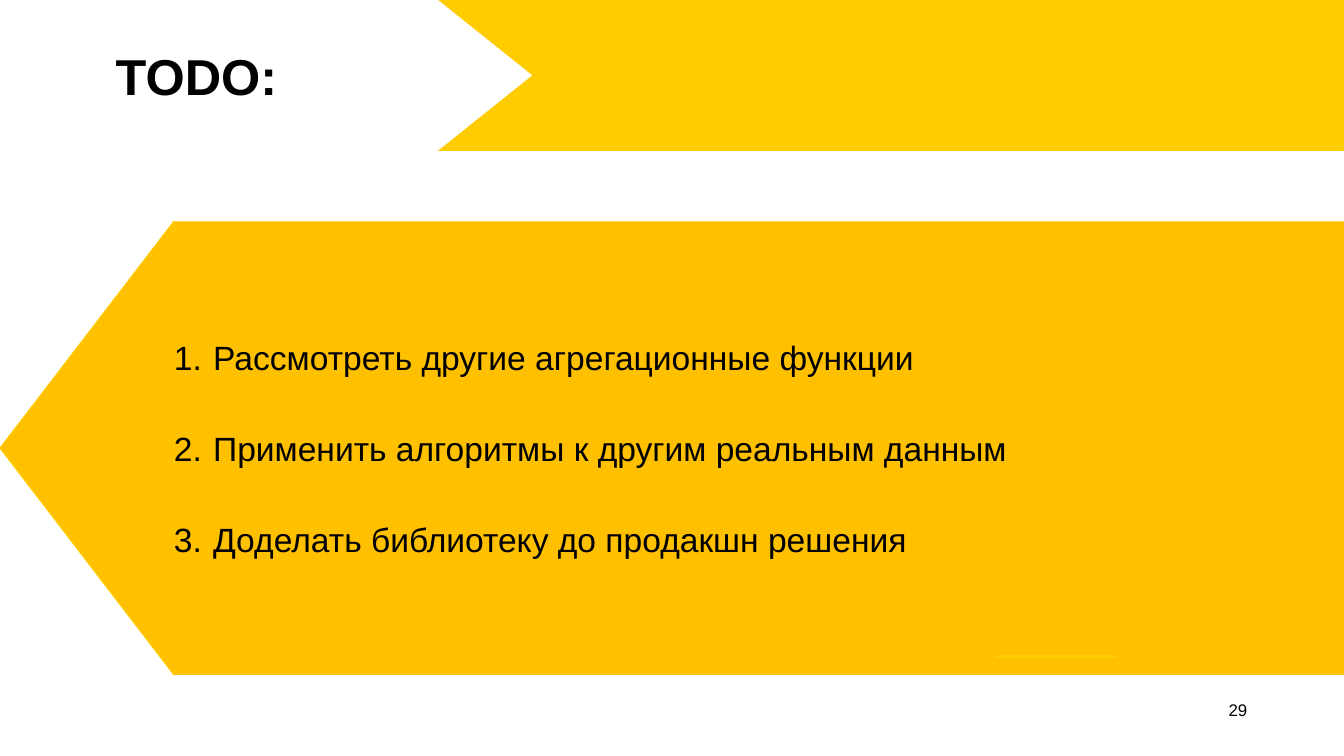
from dataclasses import dataclass

from lxml.etree import SubElement
from pptx import Presentation
from pptx.dml.color import RGBColor
from pptx.enum.shapes import MSO_SHAPE
from pptx.enum.text import MSO_ANCHOR, MSO_AUTO_SIZE, PP_ALIGN
from pptx.oxml.ns import qn
from pptx.util import Pt

TITLE = "TODO:"
TASKS = [
    "Рассмотреть другие агрегационные функции",
    "Применить алгоритмы к другим реальным данным",
    "Доделать библиотеку до продакшн решения",
]
PAGE_NUMBER = "29"


@dataclass(frozen=True)
class Theme:
    font: str = "Arial"
    text: str = "000000"
    paper: str = "FFFFFF"
    yellow: str = "FFCC00"
    amber: str = "FFC000"
    title_size: int = 72
    body_size: int = 48
    number_size: int = 24
    line_width: float = 1.5


THEME = Theme()
WIDTH, HEIGHT = 1919.5, 1080
HEADER_HEIGHT = 215.3
NOTCH_LEFT, NOTCH_DEPTH = 624.2, 134.6
PANEL_LEFT, PANEL_TOP, PANEL_HEIGHT = 248.4, 316.1, 648
TASK_GAP = 72
TASK_INDENT = 56


def place(shape, left, top, width, height):
    shape.left, shape.top = Pt(left), Pt(top)
    shape.width, shape.height = Pt(width), Pt(height)


def add_block(page, kind, bounds, fill, line, rotation=0):
    """Add a filled shape; bounds are those seen after a quarter turn."""
    left, top, width, height = bounds
    if rotation:
        left, top = left + (width - height) / 2, top + (height - width) / 2
        width, height = height, width
    block = page.shapes.add_shape(kind, Pt(left), Pt(top), Pt(width), Pt(height))
    block.rotation = rotation
    block.shadow.inherit = False
    block.fill.solid()
    block.fill.fore_color.rgb = RGBColor.from_string(fill)
    block.line.color.rgb = RGBColor.from_string(line)
    block.line.width = Pt(THEME.line_width)


def prepare_frame(shape, left=0, top=0):
    frame = shape.text_frame
    frame.word_wrap = True
    frame.auto_size = MSO_AUTO_SIZE.NONE
    frame.vertical_anchor = MSO_ANCHOR.MIDDLE
    frame.margin_left, frame.margin_top = Pt(left), Pt(top)
    frame.margin_right = frame.margin_bottom = 0
    return frame


def style(para, size, align, bold=False):
    para.alignment = align
    para.font.name = THEME.font
    para.font.size = Pt(size)
    para.font.bold = bold
    para.font.color.rgb = RGBColor.from_string(THEME.text)


def bring_to_front(shape):
    shape.element.getparent().append(shape.element)


def add_header(page):
    add_block(page, MSO_SHAPE.RECTANGLE, (0, 0, WIDTH, HEADER_HEIGHT),
              THEME.yellow, THEME.yellow)
    add_block(page, MSO_SHAPE.RECTANGLE, (0, 0, NOTCH_LEFT, HEADER_HEIGHT),
              THEME.paper, THEME.paper)
    title = page.shapes.title
    bring_to_front(title)
    place(title, 125.3, 43.2, 1671.8, 114.5)
    para = prepare_frame(title, left=40, top=15.8).paragraphs[0]
    para.text = TITLE
    style(para, THEME.title_size, PP_ALIGN.LEFT, bold=True)


def add_page_number(page):
    box = page.shapes.add_textbox(Pt(1694.9), Pt(994.3), Pt(86.4), Pt(34.6))
    para = prepare_frame(box, top=5.8).paragraphs[0]
    para.text = PAGE_NUMBER
    style(para, THEME.number_size, PP_ALIGN.RIGHT)


def add_tasks(page):
    body = page.placeholders[1]
    bring_to_front(body)
    place(body, PANEL_LEFT, PANEL_TOP, WIDTH - PANEL_LEFT, PANEL_HEIGHT)
    body.fill.solid()
    body.fill.fore_color.rgb = RGBColor.from_string(THEME.amber)
    frame = prepare_frame(body)
    for index, task in enumerate(TASKS):
        para = frame.add_paragraph() if index else frame.paragraphs[0]
        para.text = task
        properties = para._p.get_or_add_pPr()
        properties.set("marL", str(Pt(TASK_INDENT)))
        properties.set("indent", str(-Pt(TASK_INDENT)))
        SubElement(properties, qn("a:buFont"), typeface=THEME.font)
        SubElement(properties, qn("a:buAutoNum"), type="arabicPeriod")
        para.space_before = Pt(TASK_GAP if index else 0)
        para.space_after = Pt(0)
        style(para, THEME.body_size, PP_ALIGN.LEFT)


def main():
    deck = Presentation()
    deck.slide_width, deck.slide_height = Pt(WIDTH), Pt(HEIGHT)
    page = deck.slides.add_slide(deck.slide_layouts[1])
    add_header(page)
    add_page_number(page)
    add_tasks(page)
    add_block(page, MSO_SHAPE.ISOSCELES_TRIANGLE,
              (NOTCH_LEFT, 0, NOTCH_DEPTH, HEADER_HEIGHT),
              THEME.paper, THEME.paper, rotation=90)
    add_block(page, MSO_SHAPE.RECTANGLE, (1421.3, 936, 172.8, 3.6),
              THEME.yellow, THEME.yellow)
    add_block(page, MSO_SHAPE.ISOSCELES_TRIANGLE,
              (0, PANEL_TOP, PANEL_LEFT, PANEL_HEIGHT),
              THEME.amber, THEME.yellow, rotation=270)
    deck.save("out.pptx")


if __name__ == "__main__":
    main()
